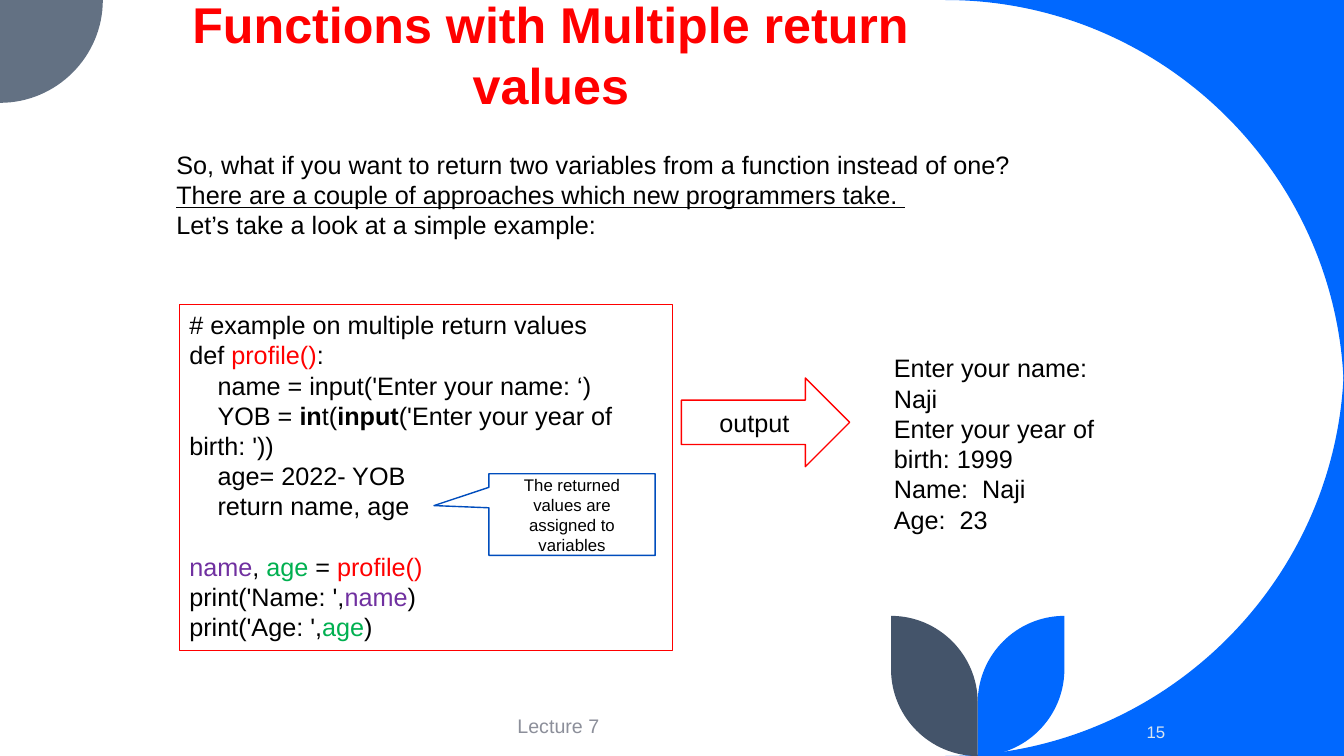
import lxml.etree
import pptx
import pptx.dml.color
import pptx.enum.shapes
import pptx.enum.text
import pptx.oxml
import pptx.oxml.ns
import pptx.util

Inches = pptx.util.Inches
RGBColor = pptx.dml.color.RGBColor
Shape = pptx.enum.shapes.MSO_SHAPE
Align = pptx.enum.text.PP_ALIGN
Anchor = pptx.enum.text.MSO_ANCHOR
qn = pptx.oxml.ns.qn

BLACK = RGBColor(0x00, 0x00, 0x00)
RED = RGBColor(0xFF, 0x00, 0x00)
PURPLE = RGBColor(0x70, 0x30, 0xA0)
GREEN = RGBColor(0x00, 0xB0, 0x50)
BLUE = RGBColor(0x00, 0x68, 0xFF)
CALLOUT_BLUE = RGBColor(0x00, 0x4D, 0xBD)
SLATE = RGBColor(0x44, 0x54, 0x6A)
GREY = RGBColor(0x63, 0x71, 0x83)
FOOTER_GREY = RGBColor(0x8C, 0x8F, 0x9A)
PALE = RGBColor(0xDA, 0xE5, 0xEF)
WIDTH, HEIGHT = 40 / 3, 7.5
ARC = 0.55  # control point distance of a quarter circle, as a share of its radius


def round_segment(line, start, leaves_sideways):
    """Turn a straight segment of a freeform into a quarter circle."""
    end = [int(line[0].get(axis)) for axis in "xy"]
    corner = (end[0], start[1]) if leaves_sideways else (start[0], end[1])
    controls = [[round(a + ARC * (c - a)) for a, c in zip(point, corner)] for point in (start, end)]
    line.tag = qn("a:cubicBezTo")
    for position, (x, y) in enumerate(controls):
        point = lxml.etree.Element(qn("a:pt"), x=str(x), y=str(y))
        line.insert(position, point)


def write(box, paragraphs, size=18, color=BLACK, bold=False, align=Align.LEFT, anchor=Anchor.TOP):
    """Each paragraph is a list of runs; a run is text or (text, format changes)."""
    frame = box.text_frame
    frame.word_wrap = True
    frame.auto_size = pptx.enum.text.MSO_AUTO_SIZE.NONE
    frame.vertical_anchor = anchor
    for number, runs in enumerate(paragraphs):
        para = frame.paragraphs[0] if number == 0 else frame.add_paragraph()
        para.alignment = align
        para.space_before = pptx.util.Pt(0)
        for run in runs:
            text, changes = (run, {}) if isinstance(run, str) else run
            span = para.add_run()
            span.text = text
            span.font.name = "Arial"
            span.font.size = pptx.util.Pt(size)
            span.font.bold = changes.get("bold", bold)
            span.font.underline = changes.get("underline", False)
            span.font.color.rgb = changes.get("color", color)
    return frame


deck = pptx.Presentation()
deck.slide_width, deck.slide_height = Inches(WIDTH), Inches(HEIGHT)
page = deck.slides.add_slide(deck.slide_layouts[1])

# Background curves and the pair of leaves; a third item rounds the segment
# that ends there, leaving its start sideways (True) or downwards/upwards (False)
leaf = [(10.56, 6.11), (10.56, 6.64), (9.7, 7.5, False), (9.7, 6.97), (10.56, 6.11, False)]
mirrored_leaf = [(2 * 9.7 - x, *rest) for x, *rest in leaf]
outlines = [
    ([(WIDTH, 0), (9.38, 0), (WIDTH, 3.95, True)], BLUE),
    ([(WIDTH, 3.55), (9.38, HEIGHT, False), (WIDTH, HEIGHT)], BLUE),
    ([(0, 0), (1.02, 0), (0, 1.02, False)], GREY),
    (leaf, BLUE),
    (mirrored_leaf, SLATE),
]
for points, color in outlines:
    corners = [(Inches(point[0]), Inches(point[1])) for point in points]
    builder = page.shapes.build_freeform(*corners[0])
    builder.add_line_segments(corners[1:], close=True)
    curve = builder.convert_to_shape()
    curve.shadow.inherit = False
    curve.fill.solid()
    curve.fill.fore_color.rgb = color
    curve.line.fill.background()
    segments = list(curve._element.iter(qn("a:moveTo"), qn("a:lnTo")))
    for before, segment, point in zip(segments, segments[1:], points[1:]):
        if len(point) == 3:
            start = [int(before[-1].get(axis)) for axis in "xy"]
            round_segment(segment, start, point[2])

# Title
title = page.shapes.title
title.left, title.top, title.width, title.height = map(Inches, (1.34, 0.14, 8.25, 0.79))
write(title, [["Functions with Multiple return values"]], size=35.9, color=RED, bold=True,
      align=Align.CENTER, anchor=Anchor.MIDDLE)

# Introduction, without the bullets of the body placeholder
intro = page.placeholders[1]
intro.left, intro.top, intro.width, intro.height = map(Inches, (1.65, 1.43, 9.1, 1.01))
intro_frame = write(intro, [
    ["So, what if you want to return two variables from a function instead of one? ",
     ("There are a couple of approaches which new programmers take. ", {"underline": True})],
    ["Let’s take a look at a simple example:"],
])
for para in intro_frame.paragraphs:
    properties = para._p.get_or_add_pPr()
    properties.set("marL", "0")
    properties.set("indent", "0")
    lxml.etree.SubElement(properties, qn("a:buNone"))

# Code box, callout and arrow
outlined = []
for kind, place, color, width in [
    (Shape.RECTANGLE, (1.78, 3.02, 4.89, 3.43), RED, 0.75),
    (Shape.RECTANGULAR_CALLOUT, (4.85, 4.7, 1.65, 0.81), CALLOUT_BLUE, 1),
    (Shape.RIGHT_ARROW, (6.76, 3.75, 1.67, 0.88), RED, 1),
]:
    box = page.shapes.add_shape(kind, *map(Inches, place))
    box.shadow.inherit = False
    box.fill.background()
    box.line.color.rgb = color
    box.line.width = pptx.util.Pt(width)
    outlined.append(box)
code, callout, arrow = outlined
callout.adjustments[0], callout.adjustments[1] = -0.83, -0.11

red, purple, green = ({"color": color} for color in (RED, PURPLE, GREEN))
strong = {"bold": True}
code_frame = write(code, [
    ["# example on multiple return values"],
    ["def ", ("profile()", red), ":"],
    ["name = input('Enter your name: ‘)"],
    ["YOB = ", ("in", strong), "t(", ("input", strong), "('Enter your year of birth: '))"],
    ["age= 2022- YOB"],
    ["return name, age"],
    [("name", purple), ", ", ("age", green), " = ", ("profile()", red)],
    ["print('Name: ',", ("name", purple), ")"],
    ["print('Age: ',", ("age", green), ")"],
])
for para in code_frame.paragraphs[2:6]:  # function body
    para._p.get_or_add_pPr().set("indent", str(Inches(0.28)))
code_frame.paragraphs[6].space_before = pptx.util.Pt(21.6)

write(callout, [["The returned values are assigned to variables"]], size=12,
      align=Align.CENTER, anchor=Anchor.MIDDLE)
write(arrow, [["output"]], align=Align.CENTER, anchor=Anchor.MIDDLE)

# Program output, footer and page number
output = page.shapes.add_textbox(*map(Inches, (8.77, 3.45, 2.61, 1.62)))
write(output, [["Enter your name: Naji"], ["Enter your year of birth: 1999"],
               ["Name:  Naji"], ["Age:  23"]])
footer = page.shapes.add_textbox(*map(Inches, (4.04, 7, 3, 0.4)))
write(footer, [["Lecture 7"]], size=14, color=FOOTER_GREY, align=Align.CENTER, anchor=Anchor.MIDDLE)
page_number = page.shapes.add_textbox(*map(Inches, (11.1, 7.06, 0.56, 0.4)))
write(page_number, [["15"]], size=12, color=PALE, align=Align.RIGHT, anchor=Anchor.MIDDLE)

deck.save("out.pptx")
